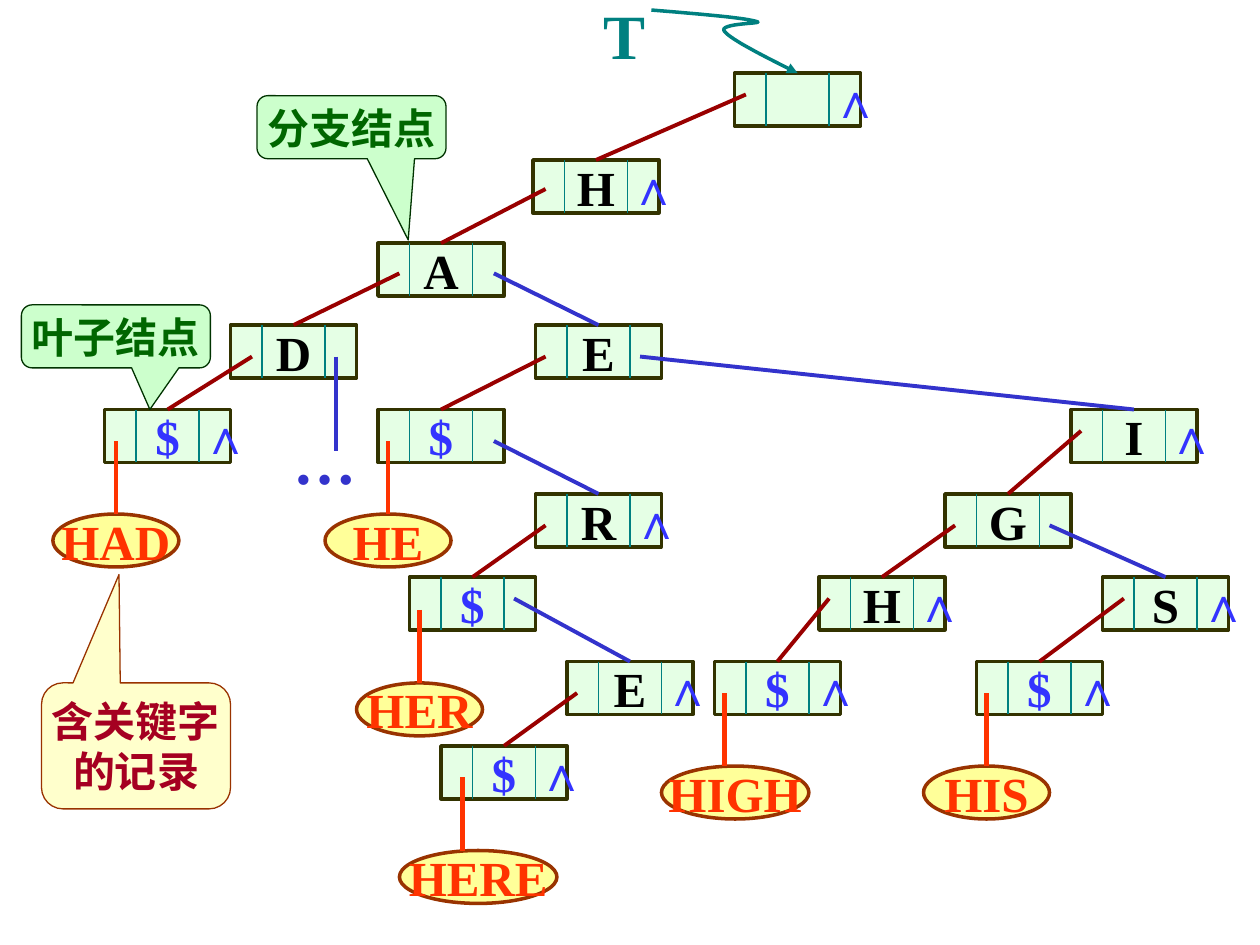
from lxml import etree
from pptx import Presentation
from pptx.dml.color import RGBColor
from pptx.enum.shapes import MSO_CONNECTOR, MSO_SHAPE
from pptx.enum.text import MSO_ANCHOR, MSO_AUTO_SIZE, PP_ALIGN
from pptx.oxml.ns import qn
from pptx.util import Inches, Pt

RECT = MSO_SHAPE.RECTANGLE
OVAL = MSO_SHAPE.OVAL
CALLOUT = MSO_SHAPE.ROUNDED_RECTANGULAR_CALLOUT
STRAIGHT = MSO_CONNECTOR.STRAIGHT
MIDDLE = MSO_ANCHOR.MIDDLE
CENTER = PP_ALIGN.CENTER
GROW = MSO_AUTO_SIZE.SHAPE_TO_FIT_TEXT

BLUE, INDIGO, TEAL = "3333FF", "3333CC", "008080"
DARK_RED, ORANGE, BROWN = "990000", "FF3300", "993300"
WIDE, HIGH = 1, 0.42
NIL = "\u2227"

# name: left, top, letter, whether the right pointer is nil
NODES = {
    "root": (5.83, 0.58, "", True),
    "H": (4.23, 1.27, "H", True),
    "HA": (3, 1.93, "A", False),
    "HAD": (1.83, 2.58, "D", False),
    "HAD$": (0.83, 3.25, "$", True),
    "HE": (4.25, 2.58, "E", False),
    "HE$": (3, 3.25, "$", False),
    "HER": (4.25, 3.92, "R", True),
    "HER$": (3.25, 4.58, "$", False),
    "HERE": (4.5, 5.25, "E", True),
    "HERE$": (3.5, 5.92, "$", True),
    "HI": (8.5, 3.25, "I", True),
    "HIG": (7.5, 3.92, "G", False),
    "HIGH": (6.5, 4.58, "H", True),
    "HIGH$": (5.67, 5.25, "$", True),
    "HIS": (8.75, 4.58, "S", True),
    "HIS$": (7.75, 5.25, "$", True),
}
# start x, start y, child node
FIRST = [
    (5.92, 0.75, "H"), (4.33, 1.5, "HA"), (3.17, 2.17, "HAD"),
    (2, 2.83, "HAD$"), (4.33, 2.83, "HE$"), (4.33, 4.17, "HER$"),
    (4.58, 5.5, "HERE$"), (8.58, 3.42, "HIG"), (7.58, 4.17, "HIGH"),
    (6.58, 4.75, "HIGH$"), (8.92, 4.75, "HIS$"),
]
NEXT = [
    (3.92, 2.17, "HE"), (5.08, 2.83, "HI"), (8.33, 4.17, "HIS"),
    (3.92, 3.5, "HER"), (4.08, 4.75, "HERE"),
]
# left, top, width, word
RECORDS = [
    (0.42, 4.08, 1, "HAD"), (2.58, 4.08, 1, "HE"), (2.83, 5.42, 1, "HER"),
    (3.17, 6.75, 1.25, "HERE"), (5.25, 6.08, 1.17, "HIGH"),
    (7.33, 6.08, 1, "HIS"),
]
# box, pointer tip, fill, line, text colour, text
NOTES = [
    ((0.17, 2.42, 1.5, 0.5), (0.18, 1.16),
     "CCFFCC", "003300", "006600", "叶子结点"),
    ((2.04, 0.76, 1.5, 0.5), (0.3, 1.79),
     "CCFFCC", "003300", "006600", "分支结点"),
    ((0.33, 5.42, 1.5, 1), (-0.09, -1.36),
     "FFFFCC", BROWN, "A50021", "含关键字\n的记录"),
]
# Bezier pieces of the arrow from T to the root
CURVE = [
    ((5.17, 0.08), (5.53, 0.11), (5.9, 0.14), (6, 0.17)),
    ((6, 0.17), (6.1, 0.19), (5.69, 0.18), (5.75, 0.25)),
    ((5.75, 0.25), (5.81, 0.32), (6.07, 0.45), (6.33, 0.58)),
]


def color(code):
    """Turn a hex string into a colour."""
    return RGBColor.from_string(code)


def bezier(ends, t):
    """Give the point at t on a cubic curve, in EMU."""
    parts = ((1 - t) ** 3, 3 * t * (1 - t) ** 2, 3 * t * t * (1 - t), t ** 3)
    return tuple(Inches(sum(w * p[i] for w, p in zip(parts, ends)))
                 for i in (0, 1))


class Tree:
    """Draws the parts of a trie on one slide."""

    font = "Times New Roman"

    def __init__(self, slide):
        self.shapes = slide.shapes

    def letter(self, frame, text, size, ink, align=None):
        """Put bold text in a frame."""
        frame.text = text
        for para in frame.paragraphs:
            para.alignment = align
            for run in para.runs:
                run.font.name = self.font
                run.font.size = Pt(size)
                run.font.bold = True
                run.font.color.rgb = color(ink)

    def shape(self, kind, box, fill, line, width, text="", size=28, ink=BLUE):
        """Add a preset shape with centred text."""
        item = self.shapes.add_shape(kind, *map(Inches, box))
        item.shadow.inherit = False
        item.fill.solid()
        item.fill.fore_color.rgb = color(fill)
        item.line.color.rgb = color(line)
        item.line.width = Pt(width)
        if text:
            frame = item.text_frame
            frame.word_wrap = False
            frame.vertical_anchor = MIDDLE
            self.letter(frame, text, size, ink, CENTER)
        return item

    def line(self, start, end, ink, width):
        """Add a straight line."""
        item = self.shapes.add_connector(
            STRAIGHT, *map(Inches, (*start, *end)))
        item.line.color.rgb = color(ink)
        item.line.width = Pt(width)
        props = item.element.find(qn("p:spPr"))
        etree.SubElement(props, qn("a:effectLst"))

    def label(self, box, text, size, ink, wrap=False):
        """Add a free text box."""
        frame = self.shapes.add_textbox(*map(Inches, box)).text_frame
        frame.word_wrap = wrap
        frame.auto_size = GROW
        self.letter(frame, text, size, ink)

    def node(self, left, top, text):
        """Add a half-clear box split into three fields."""
        ink = BLUE if text == "$" else "000000"
        item = self.shape(RECT, (left, top, WIDE, HIGH), "CCFFCC", "333300",
                          2, text, ink=ink)
        fill = item.element.find(
            "/".join(map(qn, ("p:spPr", "a:solidFill", "a:srgbClr"))))
        etree.SubElement(fill, qn("a:alpha")).set("val", "50000")
        for x in (left + 0.25, left + 0.75):
            self.line((x, top), (x, top + HIGH), TEAL, 0.75)

    def link(self, x, y, child, ink):
        """Join a pointer to the top of a child node."""
        left, top = NODES[child][:2]
        self.line((x, y), (left + WIDE / 2, top), ink, 2.25)

    def record(self, left, top, width, word):
        """Add a record and the line down to it."""
        self.shape(OVAL, (left, top, width, HIGH), "FFFF99", BROWN, 2,
                   word, ink=ORANGE)
        self.line((left + 0.5, top - 0.58), (left + 0.5, top), ORANGE, 2.5)

    def note(self, box, tip, fill, line, ink, text):
        """Add a callout."""
        item = self.shape(CALLOUT, box, fill, line, 0.75, text, 24, ink)
        for i, value in enumerate((*tip, 0.17)):
            item.adjustments[i] = value

    def arrow(self, pieces, ink, width, steps=16):
        """Add a curved arrow."""
        points = [bezier(piece, n / steps)
                  for piece in pieces for n in range(1, steps + 1)]
        pen = self.shapes.build_freeform(*bezier(pieces[0], 0))
        pen.add_line_segments(points, close=False)
        item = pen.convert_to_shape()
        item.shadow.inherit = False
        item.fill.background()
        item.line.color.rgb = color(ink)
        item.line.width = Pt(width)
        edge = item.element.find(qn("p:spPr")).find(qn("a:ln"))
        etree.SubElement(edge, qn("a:tailEnd")).set("type", "triangle")


deck = Presentation()
deck.slide_width, deck.slide_height = Inches(10), Inches(7.5)
tree = Tree(deck.slides.add_slide(deck.slide_layouts[6]))

for left, top, text, _ in NODES.values():
    tree.node(left, top, text)
for links, ink in ((FIRST, DARK_RED), (NEXT, INDIGO)):
    for x, y, child in links:
        tree.link(x, y, child, ink)
for left, top, _, nil in NODES.values():
    if nil:
        tree.label((left + 0.67, top - 0.08, 0.44, 0.57), NIL, 28, BLUE)
tree.line((2.67, 2.83), (2.67, 3.58), INDIGO, 2.25)
tree.label((2.23, 3.3, 0.7, 0.7), "…", 36, INDIGO)
for record in RECORDS:
    tree.record(*record)
tree.arrow(CURVE, TEAL, 2)
tree.label((4.69, -0.08, 0.56, 0.7), "T", 36, TEAL, wrap=True)
for note in NOTES:
    tree.note(*note)

deck.save("out.pptx")
